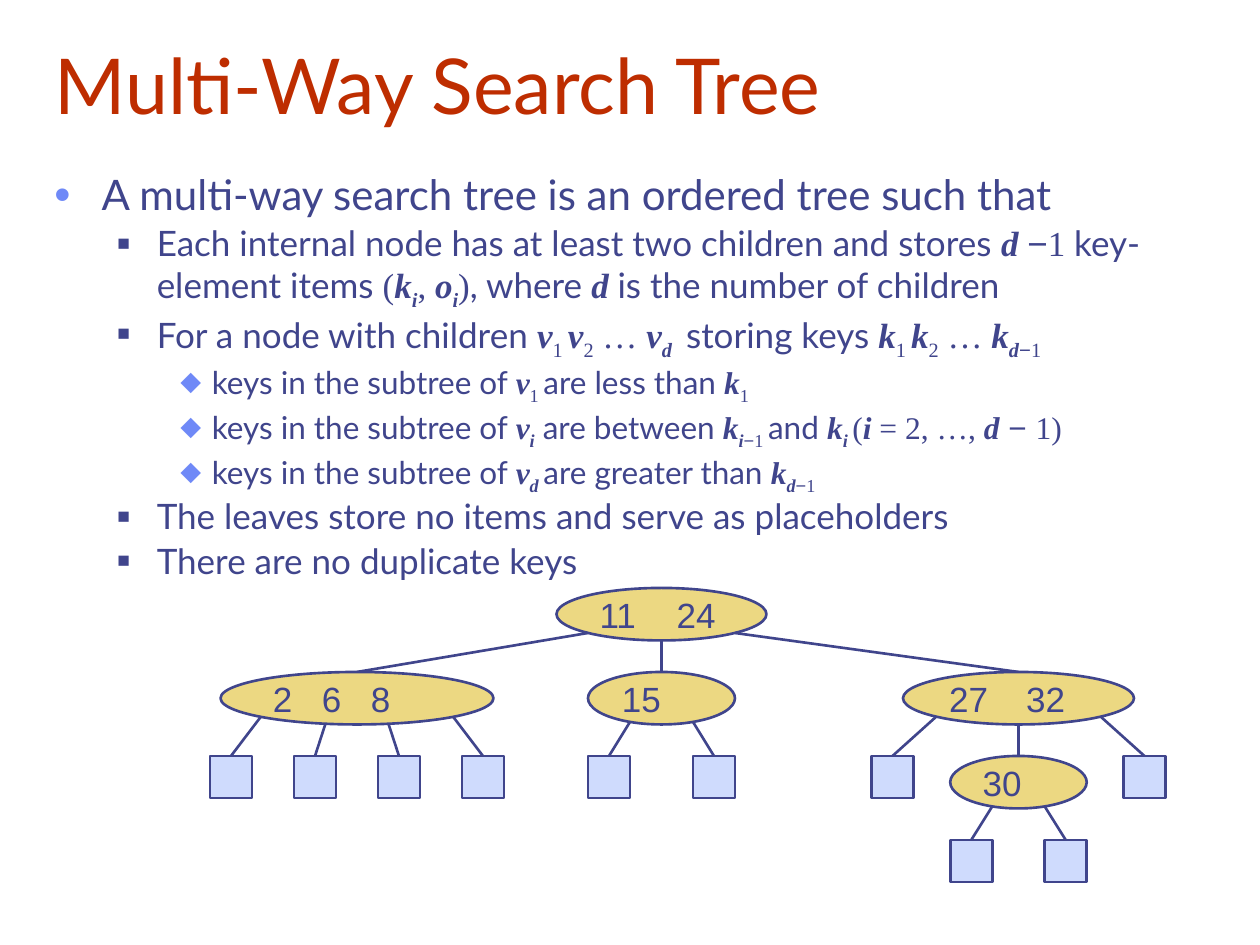
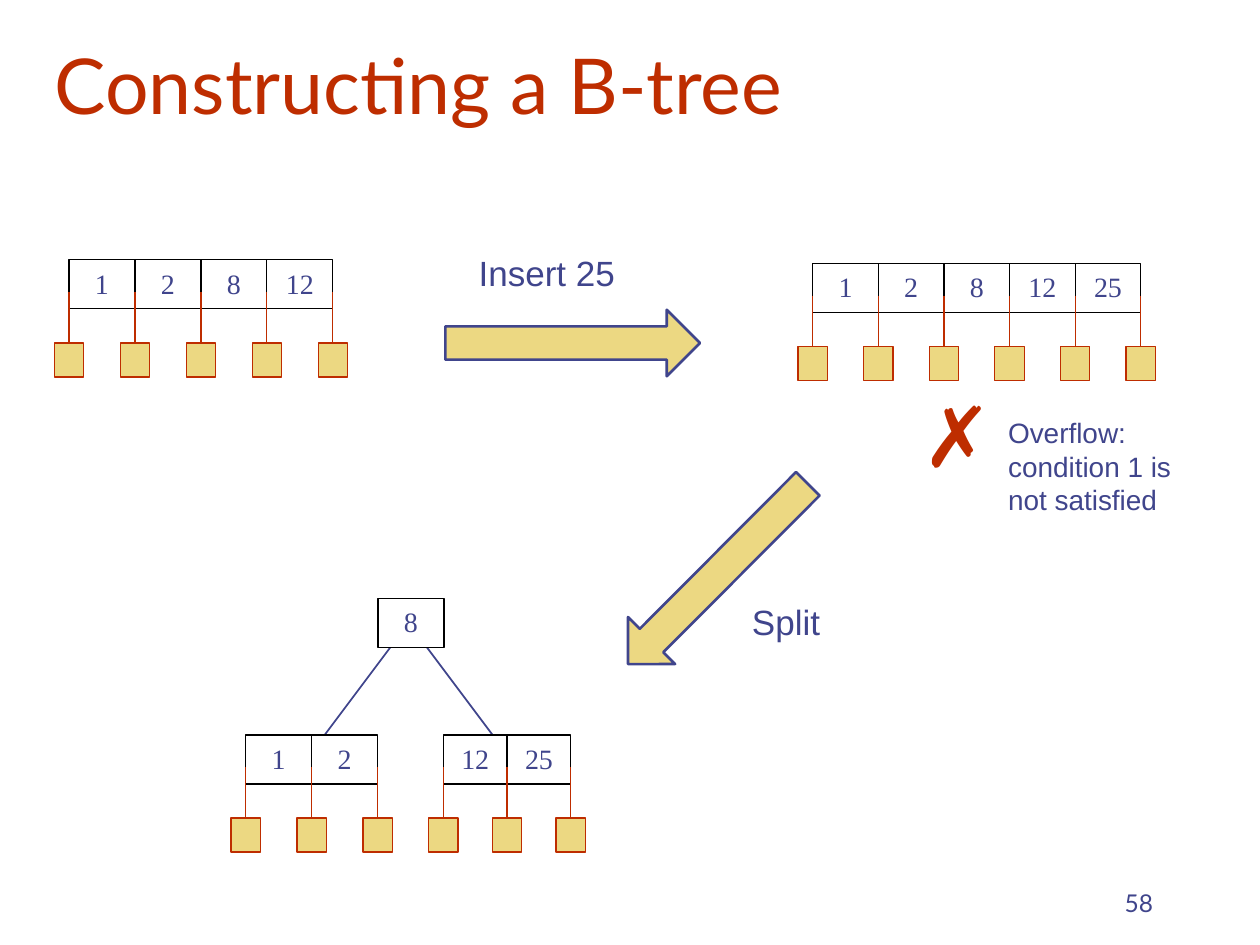
import math

import pptx
import pptx.dml.color
import pptx.enum.shapes
import pptx.enum.text
import pptx.oxml.ns
import pptx.util
from lxml import etree

Pt = pptx.util.Pt
SHAPE = pptx.enum.shapes.MSO_SHAPE
ALIGN = pptx.enum.text.PP_ALIGN
ANCHOR = pptx.enum.text.MSO_ANCHOR
qn = pptx.oxml.ns.qn

RED = "BE2D00"
NAVY = "40458C"
BLUE = "6F89F7"
PALE = "CFDBFD"
GOLD = "ECD882"
WHITE = "FFFFFF"
BLACK = "000000"
SANS, SERIF, PLAIN = "Lato", "Times New Roman", "Arial"

VAR = dict(font=SERIF, bold=True, italic=True)
NUM = dict(font=SERIF)
MINUS = dict(font=PLAIN)
SUB_VAR = dict(VAR, baseline=-25)
SUB_NUM = dict(NUM, baseline=-25)
SUB_MINUS = dict(MINUS, baseline=-25)

LEVELS = [
    dict(size=24, left=27, hang=27, char="•", color=BLUE, scale=110),
    dict(size=20, left=58.5, hang=22.5, char="■", color=NAVY, scale=60),
    dict(size=18, left=90, hang=18, char="⬥", color=BLUE, scale=95),
]

DEFINITION = [
    (0, ["A multi-way search tree is an ordered tree such that"]),
    (1, ["Each internal node has at least two children and stores ",
         ("d ", VAR), ("−", MINUS), ("1 ", NUM), "key-element items ",
         ("(", NUM), ("k", VAR), ("i", SUB_VAR), (", ", NUM), ("o", VAR),
         ("i", SUB_VAR), (")", NUM), ", where ", ("d ", VAR),
         "is the number of children"]),
    (1, ["For a node with children ", ("v", VAR), ("1 ", SUB_NUM),
         ("v", VAR), ("2", SUB_NUM), (" … ", NUM), ("v", VAR),
         ("d ", SUB_VAR), " storing keys ", ("k", VAR), ("1 ", SUB_NUM),
         ("k", VAR), ("2", SUB_NUM), (" … ", NUM), ("k", VAR),
         ("d", SUB_VAR), ("−", SUB_MINUS), ("1", SUB_NUM)]),
    (2, ["keys in the subtree of ", ("v", VAR), ("1 ", SUB_NUM),
         "are less than ", ("k", VAR), ("1", SUB_NUM)]),
    (2, ["keys in the subtree of ", ("v", VAR), ("i", SUB_VAR),
         " are between ", ("k", VAR), ("i", SUB_VAR), ("−", SUB_MINUS),
         ("1 ", SUB_NUM), "and ", ("k", VAR), ("i ", SUB_VAR), ("(", NUM),
         ("i", VAR), (" = 2, …, ", NUM), ("d", VAR), (" − ", MINUS),
         ("1)", NUM)]),
    (2, ["keys in the subtree of ", ("v", VAR), ("d ", SUB_VAR),
         "are greater than ", ("k", VAR), ("d", SUB_VAR),
         ("−", SUB_MINUS), ("1", SUB_NUM)]),
    (1, ["The leaves store no items and serve as placeholders"]),
    (1, ["There are no duplicate keys"]),
]

LEAF = 24
NODE_H = 30
LEVEL_H = 48
CELL_H = 28


def rgb(value):
    return pptx.dml.color.RGBColor.from_string(value)


def write(p, text, size=20, font=SANS, color=NAVY, bold=False, italic=False,
          baseline=0, align=None):
    if align is not None:
        p.alignment = align
    r = p.add_run()
    r.text = text
    r.font.size = Pt(size)
    r.font.name = font
    r.font.bold = bold
    r.font.italic = italic
    r.font.color.rgb = rgb(color)
    if baseline:
        r._r.get_or_add_rPr().set("baseline", str(baseline * 1000))


def add_text(s, x, y, w, h, text="", anchor=ANCHOR.TOP, **fmt):
    tf = s.shapes.add_textbox(Pt(x), Pt(y), Pt(w), Pt(h)).text_frame
    tf.word_wrap = True
    tf.vertical_anchor = anchor
    if text:
        write(tf.paragraphs[0], text, **fmt)
    return tf


def add_box(s, kind, x, y, w, h, fill, line=NAVY, width=1.5):
    sp = s.shapes.add_shape(kind, Pt(x), Pt(y), Pt(w), Pt(h))
    sp.shadow.inherit = False
    sp.fill.solid()
    sp.fill.fore_color.rgb = rgb(fill)
    sp.line.color.rgb = rgb(line)
    sp.line.width = Pt(width)
    return sp


def add_line(s, x1, y1, x2, y2, color=NAVY, width=1.5):
    cn = s.shapes.add_connector(pptx.enum.shapes.MSO_CONNECTOR.STRAIGHT,
                                Pt(x1), Pt(y1), Pt(x2), Pt(y2))
    cn.line.color.rgb = rgb(color)
    cn.line.width = Pt(width)
    etree.SubElement(cn._element.spPr, qn("a:effectLst"))


def add_slide(prs, title):
    s = prs.slides.add_slide(prs.slide_layouts[5])
    sp = s.shapes.title
    sp.left, sp.top, sp.width, sp.height = Pt(24), Pt(12), Pt(684), Pt(66)
    tf = sp.text_frame
    tf.auto_size = pptx.enum.text.MSO_AUTO_SIZE.NONE
    tf.vertical_anchor = ANCHOR.BOTTOM
    write(tf.paragraphs[0], title, size=44, color=RED, align=ALIGN.LEFT)
    return s


def set_bullet(p, level):
    pPr = p._p.get_or_add_pPr()
    pPr.set("marL", str(Pt(level["left"])))
    pPr.set("indent", str(-Pt(level["hang"])))
    clr = etree.SubElement(pPr, qn("a:buClr"))
    etree.SubElement(clr, qn("a:srgbClr"), val=level["color"])
    etree.SubElement(pPr, qn("a:buSzPct"), val=str(level["scale"] * 1000))
    etree.SubElement(pPr, qn("a:buFont"), typeface=PLAIN)
    etree.SubElement(pPr, qn("a:buChar"), char=level["char"])


def add_bullets(tf, items):
    for i, (depth, parts) in enumerate(items):
        p = tf.add_paragraph() if i else tf.paragraphs[0]
        level = LEVELS[depth]
        p.level = depth
        set_bullet(p, level)
        p.line_spacing = 0.9
        if i:
            p.space_before = Pt(level["size"] * 0.2)
        for part in parts:
            text, fmt = (part, {}) if isinstance(part, str) else part
            write(p, text, size=level["size"], **fmt)


def add_tree_node(s, cx, top, width, keys, leaves, inner):
    sp = add_box(s, SHAPE.OVAL, cx - width / 2, top, width, NODE_H, GOLD)
    tf = sp.text_frame
    tf.vertical_anchor = ANCHOR.MIDDLE
    p = tf.paragraphs[0]
    step = 12 + 16 * len(keys[0])
    tabs = etree.SubElement(p._p.get_or_add_pPr(), qn("a:tabLst"))
    for i in range(1, len(keys)):
        etree.SubElement(tabs, qn("a:tab"), pos=str(Pt(step * i)), algn="l")
    write(p, "\t".join(keys), font=PLAIN, align=ALIGN.LEFT)
    child_top = top + LEVEL_H
    for x, dx in {**leaves, **inner}.items():
        drop = math.sqrt(1 - (2 * dx / width) ** 2)
        add_line(s, cx + dx, top + NODE_H / 2 * (1 + drop), x, child_top)
    for x in leaves:
        add_box(s, SHAPE.RECTANGLE, x - LEAF / 2, child_top, LEAF, LEAF, PALE)


def add_cells(s, left, top, keys, step=37.7):
    for i, key in enumerate(keys):
        sp = add_box(s, SHAPE.RECTANGLE, left + i * step, top, step, CELL_H,
                     WHITE, BLACK, 0.75)
        sp.text_frame.vertical_anchor = ANCHOR.TOP
        write(sp.text_frame.paragraphs[0], key, size=16, font=SERIF,
              align=ALIGN.CENTER)


def add_b_node(s, left, top, keys, step=37.7):
    add_cells(s, left, top, keys, step)
    for i in range(len(keys) + 1):
        x = left + i * step
        add_box(s, SHAPE.RECTANGLE, x - 8.4, top + 47.5, 16.8, 19.5,
                GOLD, RED, 0.75)
        add_line(s, x, top + 18.5, x, top + 47.5, RED, 0.75)


def add_arrow(s, x, y, rotation=0):
    sp = add_box(s, SHAPE.RIGHT_ARROW, x, y, 145.5, 38, GOLD)
    sp.rotation = rotation


def build_search_tree(prs):
    s = add_slide(prs, "Multi-Way Search Tree")
    add_bullets(add_text(s, 24, 96, 684, 378), DEFINITION)
    add_tree_node(s, 378, 336, 120, ["11", "24"], {},
                  {204: -42, 378: 0, 582: 42})
    add_tree_node(s, 204, 384, 156, ["2", "6", "8"],
                  {132: -55, 180: -18, 228: 18, 276: 55}, {})
    add_tree_node(s, 378, 384, 84, ["15"], {348: -18, 408: 18}, {})
    add_tree_node(s, 582, 384, 132, ["27", "32"], {510: -47, 654: 47},
                  {582: 0})
    add_tree_node(s, 582, 432, 78, ["30"], {555: -15, 609: 15}, {})


def build_b_tree(prs):
    s = add_slide(prs, "Constructing a B-tree")
    add_text(s, 516, 492, 150, 36, "58", anchor=ANCHOR.BOTTOM, size=14,
             align=ALIGN.RIGHT)
    for side in (-1, 1):
        add_line(s, 233.5 + side * 3, 360, 233.5 + side * 57, 432, width=1)
    add_cells(s, 216, 342, ["8"])
    add_b_node(s, 140.4, 420, ["1", "2"])
    add_b_node(s, 253.4, 420, ["12", "25"], step=36.4)
    add_b_node(s, 39.4, 148.5, ["1", "2", "8", "12"])
    add_b_node(s, 464.4, 150.5, ["1", "2", "8", "12", "25"], step=37.5)
    add_arrow(s, 254.5, 177)
    add_arrow(s, 337.5, 309, rotation=134.9)
    add_text(s, 266.4, 140.4, 121, 31.5, "Insert 25", font=PLAIN)
    add_text(s, 422.6, 339.5, 121, 31.5, "Split", font=PLAIN)
    add_text(s, 520, 215.5, 66, 65, "✗", size=48, color=RED)
    add_text(s, 569, 234, 133, 65.5, "Overflow: condition 1 is not satisfied",
             size=16, font=PLAIN)


def main():
    prs = pptx.Presentation()
    prs.slide_width, prs.slide_height = Pt(720), Pt(540)
    build_search_tree(prs)
    build_b_tree(prs)
    prs.save("out.pptx")


if __name__ == "__main__":
    main()
